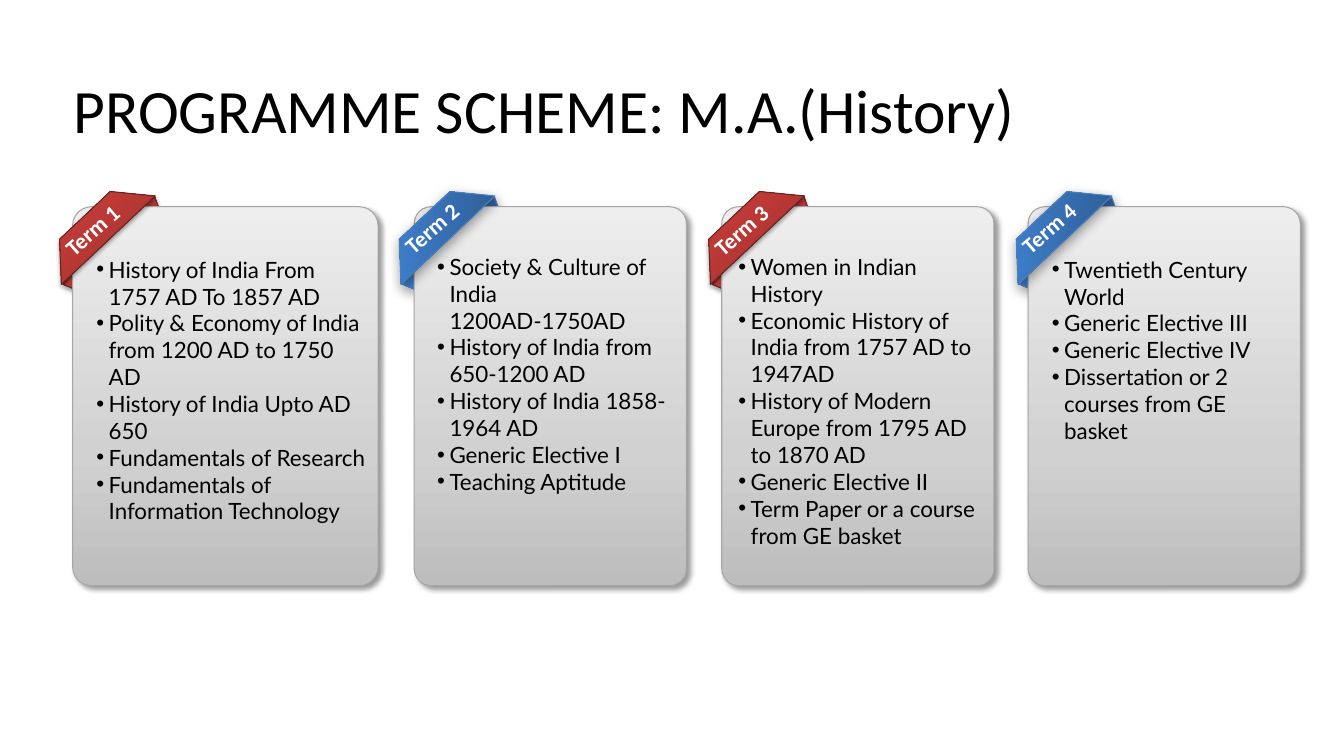
"""Build the programme scheme slide: four term cards with folded ribbons."""
from dataclasses import dataclass

from lxml.etree import SubElement
from pptx import Presentation
from pptx.dml.color import RGBColor
from pptx.enum.shapes import MSO_SHAPE
from pptx.enum.text import MSO_ANCHOR, MSO_AUTO_SIZE
from pptx.oxml.ns import qn
from pptx.util import Cm, Pt

TITLE = "PROGRAMME SCHEME: M.A.(History)"
TERMS = [
    dict(name="Term 1", style="red", card=(1.83, 7.7), ribbon=0.81,
         text=(2.18, 6.32, 7.37), rows=11, courses=[
             "History of India From 1757 AD To 1857 AD",
             "Polity & Economy of India from 1200 AD to 1750 AD",
             "History of India Upto AD 650",
             "Fundamentals of Research",
             "Fundamentals of Information Technology"]),
    dict(name="Term 2", style="blue", card=(10.44, 6.86), ribbon=9.37,
         text=(10.77, 6.25, 6.55), rows=9, courses=[
             "Society & Culture of India 1200AD-1750AD",
             "History of India from 650-1200 AD",
             "History of India 1858-1964 AD",
             "Generic Elective I",
             "Teaching Aptitude"]),
    dict(name="Term 3", style="red", card=(18.19, 6.86), ribbon=17.17,
         text=(18.36, 6.25, 6.86), rows=11, courses=[
             "Women in Indian History",
             "Economic History of India from 1757 AD to 1947AD",
             "History of Modern Europe from 1795 AD to 1870 AD",
             "Generic Elective II",
             "Term Paper or a course from GE basket"]),
    dict(name="Term 4", style="blue", card=(25.91, 6.86), ribbon=24.92,
         text=(26.26, 6.32, 6.55), rows=7, courses=[
             "Twentieth Century World",
             "Generic Elective III",
             "Generic Elective IV",
             "Dissertation or 2 courses from GE basket"]),
]


@dataclass(frozen=True)
class Finish:
    stops: tuple
    angle: int
    line: str
    shadow: tuple
    label_top: float = 0


class Theme:
    title_font, label_font, body_font = "Calibri", "Calibri", "Lato"
    title_size, text_size = Pt(44), Pt(16)
    dark, light = "000000", "FFFFFF"
    line_width = Pt(0.75)
    card = Finish(((0, "BDBDBD"), (35, "D1D1D1"), (100, "EEEEEE")), 270,
                  "A6A6A6", (40, 4, 3, 45))
    red = Finish(((0, "9C2F2D"), (80, "CB3E3A"), (100, "CE3B37")), 270,
                 "632523", (35, 3.1, 1.8, 90), 5.23)
    blue = Finish(((0, "2F5F99"), (80, "3D7CC7"), (100, "3A7CCB")), 225,
                  "4B7EBC", (40, 9, 3, 90), 5.18)


def add_element(parent, tag, **attributes):
    return SubElement(parent, qn(tag), {key: str(value) for key, value in attributes.items()})


def add_color(parent, color):
    return add_element(parent, "a:srgbClr", val=color)


def add_finished_shape(slide, kind, box, adjustment, finish, rotation=0):
    shape = slide.shapes.add_shape(kind, *map(Cm, box))
    shape.adjustments[0] = adjustment
    shape.rotation = rotation
    shape.fill.gradient()
    shape.line.color.rgb = RGBColor.from_string(finish.line)
    shape.line.width = Theme.line_width
    shape.shadow.inherit = False

    properties = shape._element.spPr
    gradient = properties.find(qn("a:gradFill"))
    for child in list(gradient):
        gradient.remove(child)
    stops = add_element(gradient, "a:gsLst")
    for position, color in finish.stops:
        add_color(add_element(stops, "a:gs", pos=position * 1000), color)
    add_element(gradient, "a:lin", ang=finish.angle * 60000, scaled=0)

    opacity, blur, distance, direction = finish.shadow
    shadow = add_element(properties.find(qn("a:effectLst")), "a:outerShdw",
                         blurRad=Pt(blur), dist=Pt(distance),
                         dir=direction * 60000, rotWithShape=0)
    add_element(add_color(shadow, Theme.dark), "a:alpha", val=opacity * 1000)
    return shape


def add_text(slide, box, lines, font, size, color, bold=False, bullets=False, wrap=True):
    shape = slide.shapes.add_textbox(*map(Cm, box))
    frame = shape.text_frame
    frame.word_wrap = wrap
    frame.auto_size = MSO_AUTO_SIZE.SHAPE_TO_FIT_TEXT
    frame.text = "\n".join(lines)
    for paragraph in frame.paragraphs:
        if bullets:
            properties = paragraph._p.get_or_add_pPr()
            properties.set("marL", str(Cm(0.31)))
            properties.set("indent", str(-Cm(0.31)))
            add_element(properties, "a:buFont", typeface="Arial")
            add_element(properties, "a:buChar", char="•")
        paragraph.font.name = font
        paragraph.font.size = size
        paragraph.font.bold = bold
        paragraph.font.color.rgb = RGBColor.from_string(color)
    return shape


def add_term(slide, term):
    finish = getattr(Theme, term["style"])
    ribbon = term["ribbon"]
    card_left, card_width = term["card"]
    fold = add_finished_shape(slide, MSO_SHAPE.TRAPEZOID, (ribbon + 0.43, 6.02, 3.2, 0.28),
                              0.439, finish, 316.2)
    fold._element.spPr.find(qn("a:xfrm")).set("flipV", "1")
    add_finished_shape(slide, MSO_SHAPE.ROUNDED_RECTANGLE, (card_left, 5.21, card_width, 9.55),
                       0.062, Theme.card)
    add_finished_shape(slide, MSO_SHAPE.TRAPEZOID, (ribbon, 5.31, 3.25, 0.86),
                       0.869, finish, 316.7)
    label = add_text(slide, (ribbon + 0.46, finish.label_top, 2.34, 1.02), [term["name"]],
                     Theme.label_font, Theme.text_size, Theme.light, bold=True, wrap=False)
    label.rotation = 318.8
    text_height = 0.25 + 0.683 * term["rows"]
    add_text(slide, (*term["text"], text_height), term["courses"],
             Theme.body_font, Theme.text_size, Theme.dark, bullets=True)


def main():
    presentation = Presentation()
    presentation.slide_width, presentation.slide_height = Cm(33.87), Cm(19.05)
    slide = presentation.slides.add_slide(presentation.slide_layouts[6])
    title = add_text(slide, (1.6, 1.02, 29.95, 3.68), [TITLE],
                     Theme.title_font, Theme.title_size, Theme.dark)
    title.text_frame.auto_size = MSO_AUTO_SIZE.NONE
    title.text_frame.vertical_anchor = MSO_ANCHOR.MIDDLE
    title.text_frame.paragraphs[0].line_spacing = 0.9
    for term in TERMS:
        add_term(slide, term)
    presentation.save("out.pptx")


if __name__ == "__main__":
    main()
